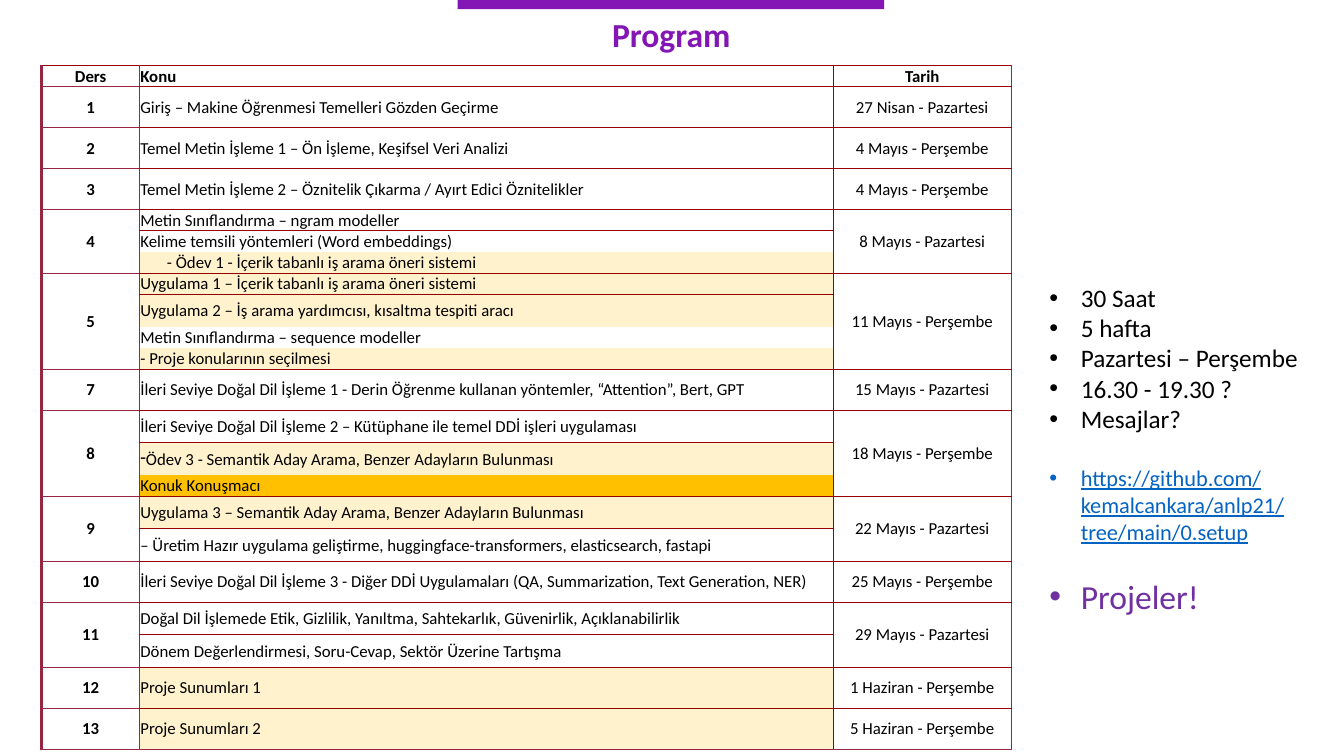
from pptx import Presentation
from pptx import util as u
from pptx.dml.color import RGBColor
from pptx.enum import shapes, text
from pptx.oxml.ns import qn
from lxml import etree

PURPLE = RGBColor(0x83, 0x16, 0xB5)
VIOLET = RGBColor(0x70, 0x30, 0xA0)
BLUE = RGBColor(0x05, 0x63, 0xC1)
BLACK = RGBColor(0, 0, 0)
CREAM = RGBColor(0xFF, 0xF2, 0xCC)
AMBER = RGBColor(0xFF, 0xC0, 0x00)
RED = RGBColor(0x96, 0x00, 0x00)
MAROON = RGBColor(0x96, 0x26, 0x41)
FONT = "Calibri"
NO_STYLE = "{2D5ABB26-0587-4C30-8999-92F81FD0307C}"
LOW, MID, TALL = 15, 23.2, 29.3

HEADER = ("Ders", [("Konu", LOW, None)], "Tarih")
# lesson, topics as (wording, row height, fill), date
LESSONS = [
    ("1", [("Giriş – Makine Öğrenmesi Temelleri Gözden Geçirme", TALL, None)], "27 Nisan - Pazartesi"),
    ("2", [("Temel Metin İşleme 1 – Ön İşleme, Keşifsel Veri Analizi", TALL, None)], "4 Mayıs - Perşembe"),
    ("3", [("Temel Metin İşleme 2 – Öznitelik Çıkarma / Ayırt Edici Öznitelikler", TALL, None)],
     "4 Mayıs - Perşembe"),
    ("4", [("Metin Sınıflandırma – ngram modeller", LOW, None),
           ("Kelime temsili yöntemleri (Word embeddings)", LOW, None),
           ("- Ödev 1 - İçerik tabanlı iş arama öneri sistemi", LOW, CREAM)], "8 Mayıs - Pazartesi"),
    ("5", [("Uygulama 1 – İçerik tabanlı iş arama öneri sistemi", LOW, CREAM),
           ("Uygulama 2 – İş arama yardımcısı, kısaltma tespiti aracı", MID, CREAM),
           ("Metin Sınıflandırma – sequence modeller", LOW, None),
           ("- Proje konularının seçilmesi", LOW, CREAM)], "11 Mayıs - Perşembe"),
    ("7", [("İleri Seviye Doğal Dil İşleme 1 - Derin Öğrenme kullanan yöntemler, “Attention”, Bert, GPT",
            TALL, None)], "15 Mayıs - Pazartesi"),
    ("8", [("İleri Seviye Doğal Dil İşleme 2 – Kütüphane ile temel DDİ işleri uygulaması", MID, None),
           ("Ödev 3 - Semantik Aday Arama, Benzer Adayların Bulunması", MID, CREAM),
           ("Konuk Konuşmacı", LOW, AMBER)], "18 Mayıs - Perşembe"),
    ("9", [("Uygulama 3 – Semantik Aday Arama, Benzer Adayların Bulunması", MID, CREAM),
           ("– Üretim Hazır uygulama geliştirme, huggingface-transformers, elasticsearch, fastapi", MID, None)],
     "22 Mayıs - Pazartesi"),
    ("10", [("İleri Seviye Doğal Dil İşleme 3 - Diğer DDİ Uygulamaları (QA, Summarization, Text Generation, NER)",
             TALL, None)], "25 Mayıs - Perşembe"),
    ("11", [("Doğal Dil İşlemede Etik, Gizlilik, Yanıltma, Sahtekarlık, Güvenirlik, Açıklanabilirlik", MID, None),
            ("Dönem Değerlendirmesi, Soru-Cevap, Sektör Üzerine Tartışma", MID, None)], "29 Mayıs - Pazartesi"),
    ("12", [("Proje Sunumları 1", TALL, CREAM)], "1 Haziran - Perşembe"),
    ("13", [("Proje Sunumları 2", TALL, CREAM)], "5 Haziran - Perşembe"),
]
INDENTED = "- Ödev 1"
DASHED = "Ödev 3"
OPEN_EDGES = {("8", "B"), ("9", "T")}

# wording, size, colour, underline, space before
NOTES = [
    ("30 Saat", 18, BLACK, False, 0),
    ("5 hafta", 18, BLACK, False, 0),
    ("Pazartesi – Perşembe", 18, BLACK, False, 0),
    ("16.30 - 19.30 ?", 18, BLACK, False, 0),
    ("Mesajlar?", 18, BLACK, False, 0),
    ("https://github.com/kemalcankara/anlp21/tree/main/0.setup", 16, BLUE, True, 22),
    ("Projeler!", 24, VIOLET, False, 22),
]


def set_all(target, values):
    for name, value in values.items():
        setattr(target, name, value)


def place(part, left, top, width, height):
    set_all(part, {"left": u.Pt(left), "top": u.Pt(top), "width": u.Pt(width), "height": u.Pt(height)})


def indent(paragraph, margin, hanging=0, bullet=None):
    props = paragraph._p.get_or_add_pPr()
    props.set("marL", str(u.Pt(margin)))
    props.set("indent", str(u.Pt(-hanging)))
    if bullet:
        etree.SubElement(props, qn("a:buChar"), char=bullet)


def write(paragraph, wording, size, color, **extra):
    run = paragraph.add_run()
    run.text = wording
    set_all(run.font, {"name": FONT, "size": u.Pt(size), **extra})
    run.font.color.rgb = color


def draw_edges(cell, edges):
    """Edges map L, R, T, B to (colour, width)."""
    props = cell._tc.get_or_add_tcPr()
    for side in "LRTB":
        if side in edges:
            color, width = edges[side]
            line = etree.SubElement(props, qn("a:ln" + side), w=str(u.Pt(width)))
            solid = etree.SubElement(line, qn("a:solidFill"))
            etree.SubElement(solid, qn("a:srgbClr"), val=str(color))


def fill_cell(cell, wording, fill=None, centered=False, bold=False):
    set_all(cell, {"margin_left": u.Pt(0.5), "margin_right": u.Pt(0.5), "margin_top": u.Pt(0.5),
                   "margin_bottom": 0, "vertical_anchor": text.MSO_ANCHOR.MIDDLE})
    if fill:
        cell.fill.solid()
        cell.fill.fore_color.rgb = fill
    else:
        cell.fill.background()
    if not wording:
        return
    line = cell.text_frame.paragraphs[0]
    if centered:
        line.alignment = text.PP_ALIGN.CENTER
    if wording.startswith(INDENTED):
        indent(line, 19)
    if wording.startswith(DASHED):
        indent(line, 0, bullet="-")
    write(line, wording, 12, BLACK, bold=bold)


def add_program(slide):
    rows = [HEADER] + LESSONS
    heights = [height for _, topics, _ in rows for _, height, _ in topics]
    widths = [70, 495.3, 127.4]
    program = slide.shapes.add_table(len(heights), 3, u.Pt(29.8), u.Pt(46.8),
                                     u.Pt(sum(widths)), u.Pt(sum(heights))).table
    set_all(program, {"first_row": False, "horz_banding": False})
    program._tbl.tblPr.find(qn("a:tableStyleId")).text = NO_STYLE
    for column, width in zip(program.columns, widths):
        column.width = u.Pt(width)
    for row, height in zip(program.rows, heights):
        row.height = u.Pt(height)

    sides = [((MAROON, 2), (MAROON, 1)), ((MAROON, 1), (RED, 1)), ((RED, 1), (MAROON, 1))]
    start = 0
    for lesson, topics, date in rows:
        last = len(topics) - 1
        heading = lesson == HEADER[0]
        for offset, (topic, _, fill) in enumerate(topics):
            first = offset == 0
            for col, (left, right) in enumerate(sides):
                cell = program.cell(start + offset, col)
                edges = {"L": left, "R": right}
                rule = MAROON if col == 0 or lesson == LESSONS[-1][0] else RED
                if first:
                    edges["T"] = (RED, 1.5) if heading else (MAROON if col == 0 else RED, 1)
                if offset == last or (first and col != 1):
                    edges["B"] = (rule, 1)
                if col == 0:
                    edges = {side: edge for side, edge in edges.items() if (lesson, side) not in OPEN_EDGES}
                draw_edges(cell, edges)
                if col == 1:
                    fill_cell(cell, topic, fill, bold=heading)
                else:
                    label = lesson if col == 0 else date
                    fill_cell(cell, label if first else "", centered=True, bold=heading or col == 0)
        if last:
            for col in (0, 2):
                program.cell(start, col).merge(program.cell(start + last, col))
        start += len(topics)


def main():
    deck = Presentation()
    set_all(deck, {"slide_width": u.Pt(960), "slide_height": u.Pt(540)})
    slide = deck.slides.add_slide(deck.slide_layouts[1])

    bar = slide.shapes.add_shape(shapes.MSO_SHAPE.RECTANGLE, u.Pt(326.9), 0, u.Pt(304.6), u.Pt(6.5))
    bar.shadow.inherit = False
    bar.fill.solid()
    bar.fill.fore_color.rgb = PURPLE
    bar.line.fill.background()

    title, notes = slide.placeholders
    place(title, 319, 6.5, 321, 65.5)
    place(notes, 742.3, 198, 211.7, 254.2)
    for part in (title, notes):
        set_all(part.text_frame, {"word_wrap": True, "auto_size": text.MSO_AUTO_SIZE.NONE,
                                  "vertical_anchor": text.MSO_ANCHOR.TOP})
    heading = title.text_frame.paragraphs[0]
    heading.alignment = text.PP_ALIGN.CENTER
    write(heading, "Program", 24, PURPLE, bold=True)

    for index, (note, size, color, underline, gap) in enumerate(NOTES):
        line = notes.text_frame.add_paragraph() if index else notes.text_frame.paragraphs[0]
        line.space_before = u.Pt(gap)
        indent(line, 22.5, 22.5, "•")
        write(line, note, size, color, underline=underline)

    add_program(slide)
    deck.save("out.pptx")


if __name__ == "__main__":
    main()
